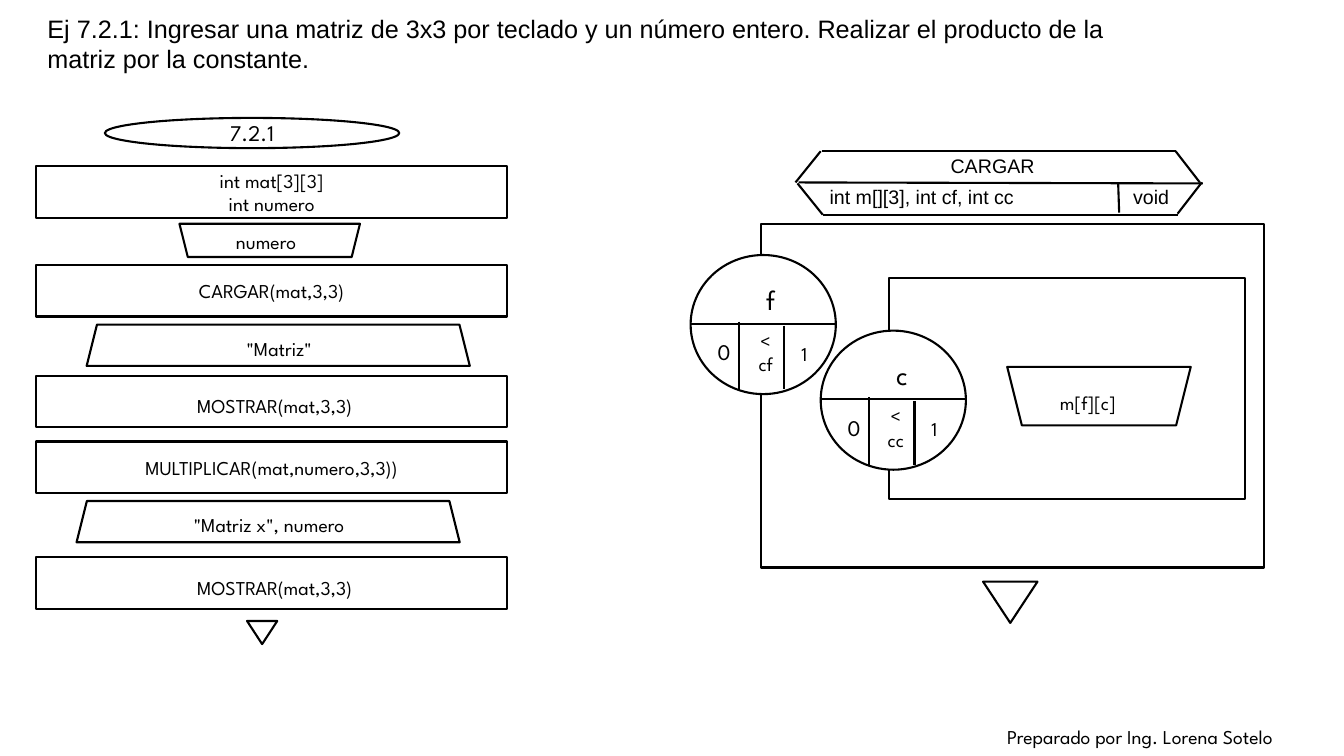
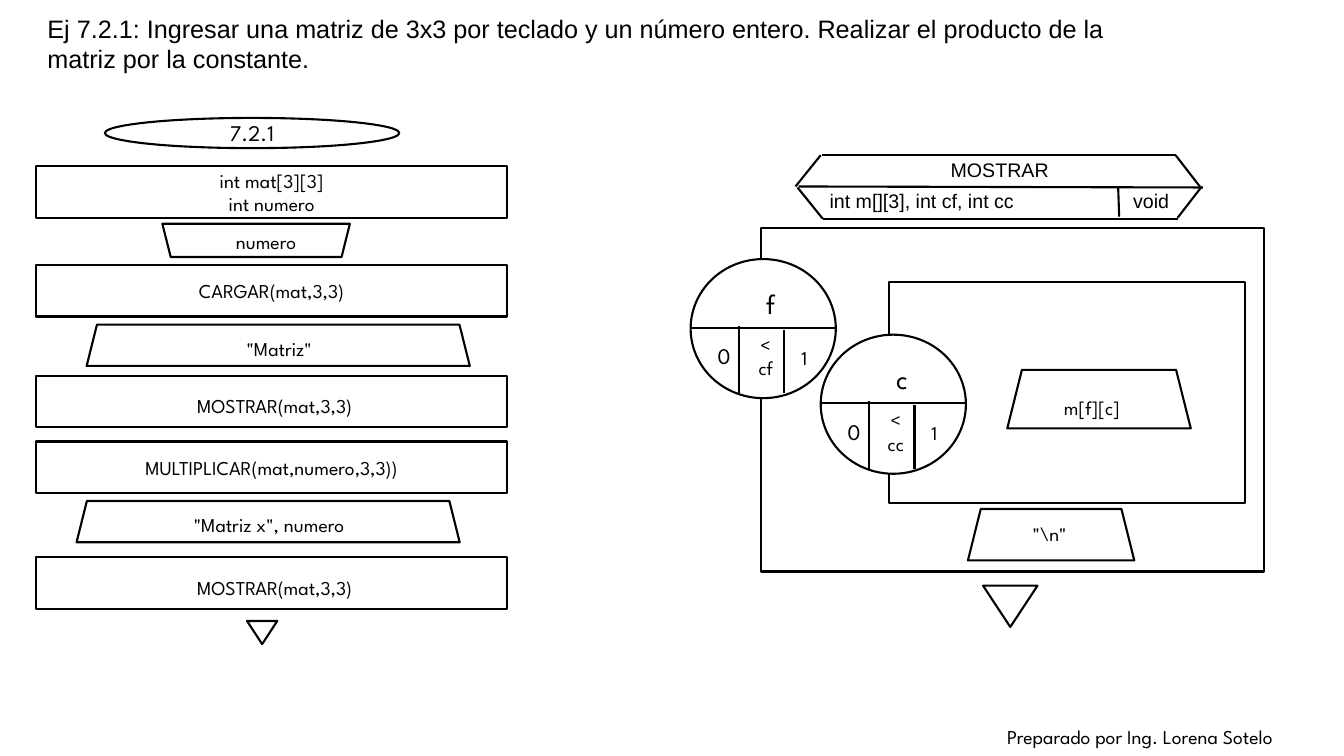
from lxml import etree
from pptx import Presentation
from pptx.dml.color import RGBColor
from pptx.enum.shapes import MSO_CONNECTOR as LINK, MSO_SHAPE as SHAPE
from pptx.enum.text import MSO_ANCHOR as ANCHOR, MSO_AUTO_SIZE as FIT, PP_ALIGN as ALIGN
from pptx.oxml.ns import qn
from pptx.util import Inches, Pt

INK = RGBColor(0x00, 0x00, 0x00)
PAPER = RGBColor(0xFF, 0xFF, 0xFF)
SANS, ROUND = "Arial", "League Spartan"
TITLE = ("Ej 7.2.1: Ingresar una matriz de 3x3 por teclado y un número entero. "
         "Realizar el producto de la matriz por la constante.")
CREDIT = "Preparado por Ing. Lorena Sotelo"

# Main program: process boxes (top, text, extra left and top margin)
STEPS = [
    (1.65, "int mat[3][3]\nint numero", 0, 0),
    (2.63, "CARGAR(mat,3,3)", 0, 0),
    (3.73, "MOSTRAR(mat,3,3)", 0.06, 0.08),
    (4.38, "MULTIPLICAR(mat,numero,3,3))", 0, 0),
    (5.53, "MOSTRAR(mat,3,3)", 0.06, 0.08),
]

# Function header: lines as x1, y1, x2, y2
HEAD = [
    (7.92, 1.81, 11.93, 1.82), (8.15, 1.5, 11.66, 1.5), (8.16, 2.13, 11.68, 2.13),
    (7.89, 1.81, 8.14, 1.5), (7.91, 1.82, 8.16, 2.13), (11.9, 1.81, 11.66, 1.5),
    (11.92, 1.81, 11.68, 2.12), (11.09, 1.81, 11.1, 2.11),
]


def put(obj, vals):
    for name, val in vals.items():
        setattr(obj, name, val)


def inch(nums):
    return [Inches(num) for num in nums]


class Chart:
    """Holds the drawing style and the current slide."""

    def __init__(self):
        self.deck = Presentation()
        put(self.deck, {"slide_width": Inches(13.33), "slide_height": Inches(7.5)})
        self.slide = None

    def page(self):
        self.slide = self.deck.slides.add_slide(self.deck.slide_layouts[5])
        title = self.slide.shapes.title
        left, top, width, height = inch((0.37, 0.08, 11.18, 0.71))
        put(title, {"left": left, "top": top, "width": width, "height": height})
        self.fill(title, TITLE, 18, SANS)
        self.text((9.89, 7.14, 3.34, 0.34), CREDIT)

    def fill(self, shape, text, size=14, font=ROUND, align=ALIGN.LEFT,
             anchor=ANCHOR.TOP, pad=(0, 0)):
        frame = shape.text_frame
        frame.text = text
        put(frame, {
            "word_wrap": True, "auto_size": FIT.NONE, "vertical_anchor": anchor,
            "margin_left": Inches(0.1 + pad[0]), "margin_top": Inches(0.05 + pad[1]),
            "margin_right": Inches(0.1), "margin_bottom": Inches(0.05)})
        for para in frame.paragraphs:
            para.alignment = align
            put(para.font, {"name": font, "size": Pt(size)})
            para.font.color.rgb = INK

    def text(self, at, text, size=14, **style):
        self.fill(self.slide.shapes.add_textbox(*inch(at)), text, size, **style)

    def edge(self, item):
        item.line.color.rgb = INK
        item.line.width = Pt(1.5)

    def shape(self, kind, at, paint=PAPER, turn=0, home=None):
        item = (home or self.slide).shapes.add_shape(kind, *inch(at))
        item.shadow.inherit = False
        item.rotation = turn
        if paint is None:
            item.fill.background()
        else:
            item.fill.solid()
            item.fill.fore_color.rgb = paint
        self.edge(item)
        return item

    def label(self, item, text, size=14, pad=(0, 0)):
        self.fill(item, text, size, align=ALIGN.CENTER, anchor=ANCHOR.MIDDLE, pad=pad)

    def line(self, ends, home=None):
        item = (home or self.slide).shapes.add_connector(LINK.STRAIGHT, *inch(ends))
        self.edge(item)
        etree.SubElement(item.element.spPr, qn("a:effectLst"))

    def data(self, at, text, spot, turn=0):
        """Input (turned) or output trapezoid with its text at spot."""
        self.shape(SHAPE.TRAPEZOID, at, None, turn)
        self.text(spot, text, align=ALIGN.CENTER, anchor=ANCHOR.MIDDLE)

    def end(self, at):
        self.shape(SHAPE.ISOSCELES_TRIANGLE, at, turn=180)

    def loop(self, x, y, name, limit):
        """Circle of a counted loop: name, start, limit and step."""
        group = self.slide.shapes.add_group_shape()
        self.shape(SHAPE.OVAL, (x, y, 1.44, 1.38), home=group)
        for x1, y1, x2, y2 in ((0, 0.68, 1.44, 0.68), (0.48, 0.66, 0.48, 1.33),
                               (0.93, 0.7, 0.93, 1.33)):
            self.line((x + x1, y + y1, x + x2, y + y2), group)
        self.text((x + 0.65, y + 0.22, 0.4, 0.44), name, 20)
        self.text((x + 0.17, y + 0.78, 0.37, 0.37), "0", 16)
        self.text((x + 0.51, y + 0.68, 0.47, 0.57), "<\n" + limit, align=ALIGN.CENTER)
        self.text((x + 1, y + 0.81, 0.38, 0.34), "1")

    def main(self, left, width):
        """Main program; left and width place the number input."""
        start = self.shape(SHAPE.OVAL, (1.04, 1.17, 2.92, 0.3), None)
        self.label(start, "7.2.1", 16)
        for top, text, *pad in STEPS:
            box = self.shape(SHAPE.FLOWCHART_PROCESS, (0.36, top, 4.67, 0.51))
            self.label(box, text, pad=pad)
        self.data((left, 2.22, width, 0.33), "numero", (2.11, 2.18, 1.06, 0.44), 180)
        self.data((0.86, 3.22, 3.8, 0.41), '"Matriz"', (1.04, 3.25, 3.46, 0.41))
        self.data((0.76, 4.97, 3.8, 0.41), '"Matriz x", numero', (0.77, 5, 3.8, 0.41))
        self.end((2.45, 6.16, 0.3, 0.23))

    def func(self, name, drop=0):
        """Function with two nested loops, moved down by drop."""
        for x1, y1, x2, y2 in HEAD:
            self.line((x1, y1 + drop, x2, y2 + drop))
        self.text((9.33, 1.48 + drop, 1.77, 0.34), name, font=SANS)
        self.text((8.13, 1.79 + drop, 2.9, 0.34), "int m[][3], int cf, int cc", font=SANS)
        self.text((11.14, 1.79 + drop, 0.9, 0.34), "void", font=SANS)
        self.shape(SHAPE.RECTANGLE, (7.55, 2.22 + drop, 4.99, 3.41))
        self.loop(6.85, 2.53 + drop, "f", "cf")
        self.shape(SHAPE.RECTANGLE, (8.82, 2.76 + drop, 3.53, 2.19))
        self.loop(8.14, 3.28 + drop, "c", "cc")
        self.end((9.75, 5.77 + drop, 0.54, 0.41))


def main():
    chart = Chart()

    # Slide 1: load the matrix
    chart.page()
    chart.main(1.78, 1.79)
    chart.func("CARGAR")
    chart.data((9.99, 3.64, 1.82, 0.58), "m[f][c]", (9.9, 3.7, 1.78, 0.58), 180)

    # Slide 2: show the matrix
    chart.page()
    chart.main(1.61, 1.86)
    chart.func("MOSTRAR", 0.04)
    chart.data((9.99, 3.67, 1.82, 0.58), "m[f][c]", (9.94, 3.75, 1.78, 0.58))
    chart.data((9.6, 5.05, 1.65, 0.51), r'"\n"', (9.6, 5.04, 1.62, 0.51))

    chart.deck.save("out.pptx")


if __name__ == "__main__":
    main()
